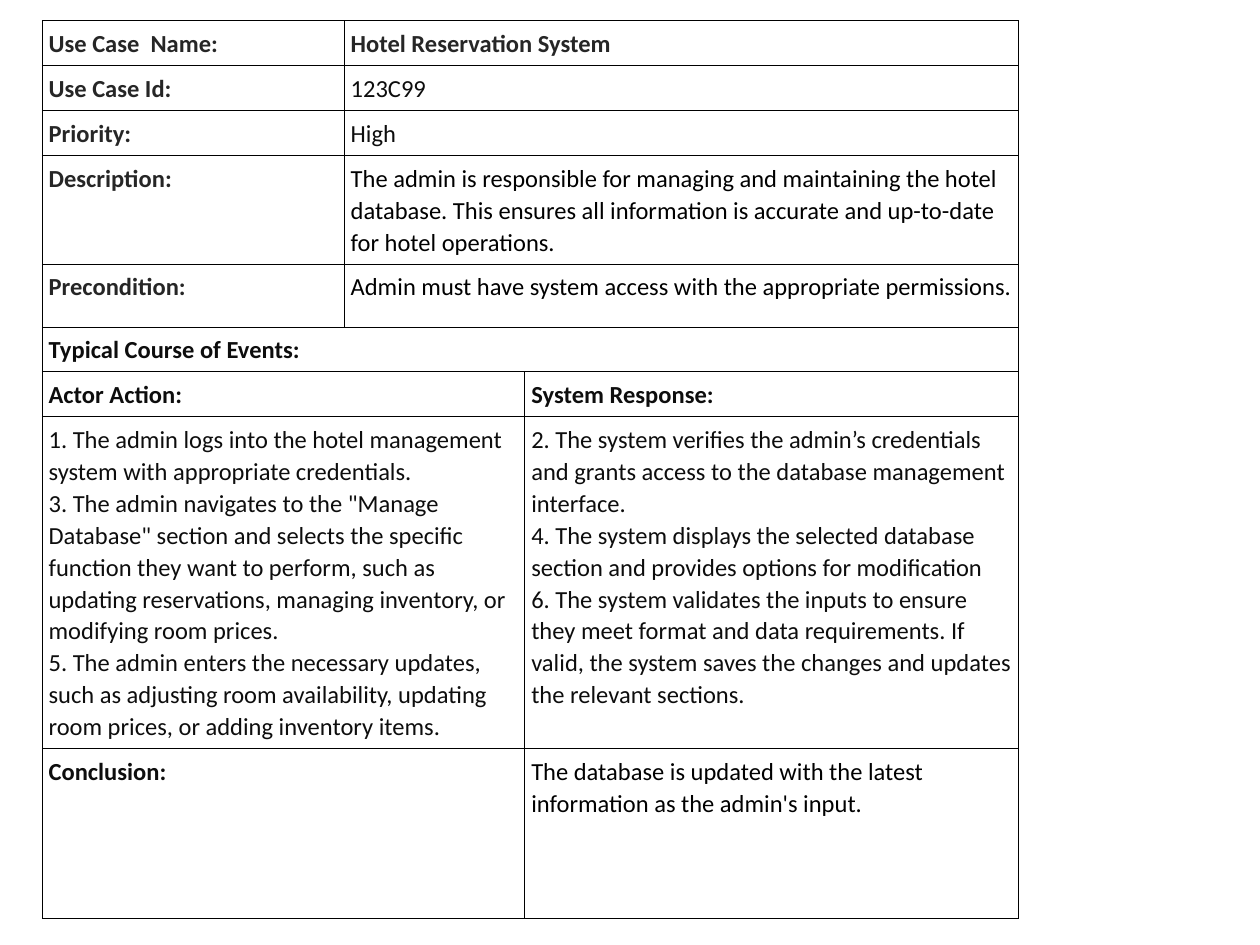
from lxml import etree
from pptx import Presentation
from pptx.dml.color import RGBColor
from pptx.oxml.ns import qn
from pptx.util import Cm, Pt

COLORS = {"label": "262626", "text": "0D0D0D", "body": "000000", "border": "000000"}
FONT = "Calibri"
MARGIN = Cm(0.13)
BORDER_WIDTH = Pt(0.45)
COLUMN_WIDTHS = [6.09, 3.64, 9.95]
LINE_ROW = 0.89  # height of a row with one line of text

# label, value, value colour, value in bold, row height
PROPERTIES = [
    ("Use Case  Name:", "Hotel Reservation System", "label", True, LINE_ROW),
    ("Use Case Id:", "123C99", "text", False, LINE_ROW),
    ("Priority:", "High", "text", False, LINE_ROW),
    ("Description:",
     "The admin is responsible for managing and maintaining the hotel database. "
     "This ensures all information is accurate and up-to-date for hotel operations.",
     "body", False, 2.16),
    ("Precondition:", "Admin must have system access with the appropriate permissions.",
     "body", False, 1.27),
]
EVENTS_TITLE = "Typical Course of Events:"
ACTOR_ACTIONS = [
    "1. The admin logs into the hotel management system with appropriate credentials.",
    '3. The admin navigates to the "Manage Database" section and selects the specific '
    "function they want to perform, such as updating reservations, managing inventory, "
    "or modifying room prices.",
    "5. The admin enters the necessary updates, such as adjusting room availability, "
    "updating room prices, or adding inventory items.",
]
SYSTEM_RESPONSES = [
    "2. The system verifies the admin’s credentials and grants access to the database "
    "management interface.",
    "4. The system displays the selected database section and provides options for "
    "modification",
    "6. The system validates the inputs to ensure they meet format and data requirements. "
    "If valid, the system saves the changes and updates the relevant sections.",
]
CONCLUSION = "The database is updated with the latest information as the admin's input."
# left paragraphs, left in bold, right paragraphs, right colour, right in bold, row height
EVENTS = [
    (["Actor Action:"], True, ["System Response:"], "text", True, LINE_ROW),
    (ACTOR_ACTIONS, False, SYSTEM_RESPONSES, "text", False, 6.6),
    (["Conclusion:"], True, [CONCLUSION], "body", False, 3.43),
]


def style_cell(cell):
    """Clear the fill, set the margins and draw a thin line on all four sides."""
    cell.fill.background()
    cell.margin_left = cell.margin_right = MARGIN
    cell.margin_top = cell.margin_bottom = MARGIN
    properties = cell._tc.get_or_add_tcPr()
    for position, side in enumerate(("a:lnL", "a:lnR", "a:lnT", "a:lnB")):
        line = etree.Element(qn(side), w=str(int(BORDER_WIDTH)))
        fill = etree.SubElement(line, qn("a:solidFill"))
        etree.SubElement(fill, qn("a:srgbClr"), val=COLORS["border"])
        properties.insert(position, line)


def write_cell(cell, paragraphs, color, bold):
    frame = cell.text_frame
    frame.text = "\n".join(paragraphs)
    for paragraph in frame.paragraphs:
        paragraph.line_spacing = 1.07
        paragraph.font.name = FONT
        paragraph.font.size = Pt(14)
        paragraph.font.bold = bold
        paragraph.font.color.rgb = RGBColor.from_string(COLORS[color])


def add_use_case_table(slide):
    heights = ([row[-1] for row in PROPERTIES] + [LINE_ROW]
               + [row[-1] for row in EVENTS])
    table = slide.shapes.add_table(
        len(heights), len(COLUMN_WIDTHS), Cm(0.85), Cm(0.42),
        Cm(sum(COLUMN_WIDTHS)), Cm(sum(heights))).table
    table.first_row = table.horz_banding = False
    for column, width in zip(table.columns, COLUMN_WIDTHS):
        column.width = Cm(width)
    for row, height in zip(table.rows, heights):
        row.height = Cm(height)
    for cell in table.iter_cells():
        style_cell(cell)
    return table


def fill_properties(table):
    for row, (label, value, color, bold, _) in enumerate(PROPERTIES):
        table.cell(row, 1).merge(table.cell(row, 2))
        write_cell(table.cell(row, 0), [label], "label", True)
        write_cell(table.cell(row, 1), [value], color, bold)


def fill_events(table):
    title_row = len(PROPERTIES)
    table.cell(title_row, 0).merge(table.cell(title_row, 2))
    write_cell(table.cell(title_row, 0), [EVENTS_TITLE], "text", True)
    for row, (left, left_bold, right, color, right_bold, _) in enumerate(
            EVENTS, start=title_row + 1):
        table.cell(row, 0).merge(table.cell(row, 1))
        write_cell(table.cell(row, 0), left, "text", left_bold)
        write_cell(table.cell(row, 2), right, color, right_bold)


def main():
    presentation = Presentation()
    presentation.slide_width = Cm(25.4)
    presentation.slide_height = Cm(19.05)
    slide = presentation.slides.add_slide(presentation.slide_layouts[6])
    table = add_use_case_table(slide)
    fill_properties(table)
    fill_events(table)
    presentation.save("out.pptx")


if __name__ == "__main__":
    main()
